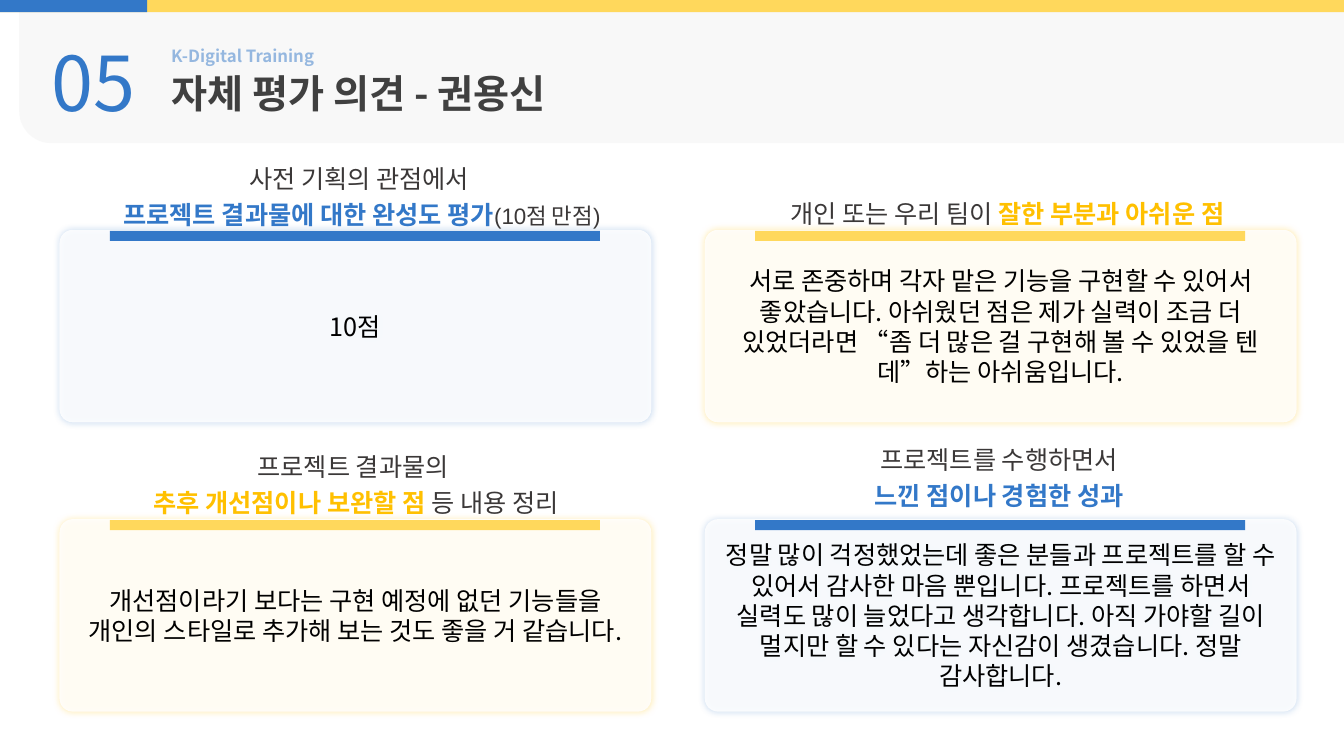
from dataclasses import dataclass

from lxml.etree import SubElement
from pptx import Presentation
from pptx.dml.color import RGBColor
from pptx.enum.shapes import MSO_SHAPE as Shape
from pptx.enum.text import MSO_ANCHOR as Anchor, MSO_AUTO_SIZE as AutoSize, PP_ALIGN as Align
from pptx.oxml.ns import qn
from pptx.util import Inches, Pt


@dataclass(frozen=True)
class Theme:
    blue: str = "3378C8"
    yellow: str = "FFD85C"
    amber: str = "FFC000"
    panel: str = "F2F2F2"
    white: str = "FFFFFF"
    black: str = "000000"
    title: str = "404040"
    heading: str = "3B3838"
    sans: str = "Noto Sans CJK KR"
    latin: str = "Arial"
    number_size: int = 54
    title_size: int = 28
    body_size: int = 18
    note_size: int = 16
    label_size: int = 12


@dataclass(frozen=True)
class Box:
    x: float
    y: float
    w: float
    h: float

    def inside(self, dx: float, dy: float, w: float, h: float) -> "Box":
        return Box(self.x + dx, self.y + dy, w, h)

    def emu(self) -> tuple:
        return tuple(Inches(v) for v in (self.x, self.y, self.w, self.h))


@dataclass(frozen=True)
class Run:
    text: str
    color: str
    bold: bool = False
    size: int = Theme.body_size


@dataclass(frozen=True)
class Card:
    col: int
    row: int
    accent: str
    glow: int  # shadow opacity, percent
    heading_at: tuple  # offset from the card, then size
    spacing: float
    heading: list  # paragraphs of runs
    body: str


T = Theme()
WIDTH, HEIGHT = 13.33, 7.5
STRIP = 0.12
GRID_X, GRID_Y, COL_STEP, ROW_STEP = 0.59, 2.28, 6.4, 2.87
CARD_W, CARD_H = 5.87, 1.91


def rgb(color: str) -> RGBColor:
    return RGBColor.from_string(color)


def set_alpha(fill_parent, percent: int) -> None:
    color = next(fill_parent.iter(qn("a:srgbClr")))
    SubElement(color, qn("a:alpha"), val=str(percent * 1000))


def add_block(s, kind, box: Box, color: str, alpha: int = 100):
    sp = s.shapes.add_shape(kind, *box.emu())
    sp.shadow.inherit = False
    sp.fill.solid()
    sp.fill.fore_color.rgb = rgb(color)
    sp.line.fill.background()
    if alpha < 100:
        set_alpha(sp.fill._xPr, alpha)
    return sp


def add_glow(sp, color: str, percent: int) -> None:
    effects = sp._element.spPr.find(qn("a:effectLst"))
    shadow = SubElement(effects, qn("a:outerShdw"), blurRad=str(Pt(5)), dist="0",
                        dir="0", algn="ctr", rotWithShape="0")
    clr = SubElement(shadow, qn("a:srgbClr"), val=color)
    SubElement(clr, qn("a:alpha"), val=str(percent * 1000))


def style(font, size: int, color: str, bold: bool, face: str) -> None:
    font.size, font.bold, font.name = Pt(size), bold, face
    font.color.rgb = rgb(color)
    SubElement(font._element, qn("a:ea"), typeface=T.sans)


def fill_paragraph(p, runs: list, face: str) -> None:
    if len(runs) == 1:
        run = runs[0]
        p.add_run().text = run.text
        style(p.font, run.size, run.color, run.bold, face)
        return
    for run in runs:
        if run.text == "\n":
            p.add_line_break()
            continue
        r = p.add_run()
        r.text = run.text
        style(r.font, run.size, run.color, run.bold, face)


def add_text(s, box: Box, paragraphs: list, face: str, align=Align.LEFT, spacing: float = 1.0):
    tf = s.shapes.add_textbox(*box.emu()).text_frame
    tf.word_wrap = True
    tf.auto_size = AutoSize.SHAPE_TO_FIT_TEXT
    for i, runs in enumerate(paragraphs):
        p = tf.add_paragraph() if i else tf.paragraphs[0]
        p.alignment, p.line_spacing = align, spacing
        fill_paragraph(p, runs, face)
    return tf


def add_header(s) -> None:
    panel = add_block(s, Shape.ROUND_1_RECTANGLE, Box(0.19, 0.08, WIDTH - 0.19, 1.34), T.panel, 50)
    panel.adjustments[0] = 0.238
    panel.rotation = 180
    label = add_text(s, Box(1.6, 0.4, 2.46, 0.3),
                     [[Run("K-Digital Training", T.blue, True, T.label_size)]], T.sans)
    set_alpha(label.paragraphs[0]._p, 50)
    add_text(s, Box(1.6, 0.64, 5.32, 0.57),
             [[Run("자체 평가 의견 - 권용신", T.title, True, T.title_size)]], T.sans)
    number = add_text(s, Box(0.41, 0.36, 1.39, 0.91),
                      [[Run("05", T.blue, False, T.number_size)]], T.sans)
    number.margin_top = number.margin_bottom = 0
    add_block(s, Shape.RECTANGLE, Box(0, 0, WIDTH, STRIP), T.yellow)
    add_block(s, Shape.RECTANGLE, Box(0, 0, 1.46, STRIP), T.blue)


def add_card(s, card: Card) -> None:
    box = Box(GRID_X + card.col * COL_STEP, GRID_Y + card.row * ROW_STEP, CARD_W, CARD_H)
    sp = add_block(s, Shape.ROUNDED_RECTANGLE, box, T.white, 85)
    sp.adjustments[0] = 0.069
    add_glow(sp, card.accent, card.glow)
    tf = sp.text_frame
    tf.word_wrap, tf.vertical_anchor = True, Anchor.MIDDLE
    p = tf.paragraphs[0]
    p.alignment = Align.CENTER
    fill_paragraph(p, [Run(card.body, T.black)], T.sans)
    add_block(s, Shape.RECTANGLE, box.inside(0.5, 0.01, 4.86, 0.1), card.accent)
    add_text(s, box.inside(*card.heading_at), card.heading, T.latin, Align.CENTER, card.spacing)


CARDS = [
    Card(0, 0, T.blue, 30, (0.24, -0.77, 5.52, 0.79), 1.2,
         [[Run("사전 기획의 관점에서 ", T.heading)],
          [Run("프로젝트 결과물에 대한 완성도 평가", T.blue, True),
           Run("(10점 만점)", T.heading, size=T.note_size)]],
         "10점"),
    Card(0, 1, T.yellow, 55, (0.41, -0.78, 5.06, 0.79), 1.2,
         [[Run("프로젝트 결과물의 ", T.heading)],
          [Run("추후 개선점이나 보완할 점 ", T.amber, True), Run("등 내용 정리", T.heading)]],
         "개선점이라기 보다는 구현 예정에 없던 기능들을 개인의 스타일로 추가해 보는 것도 좋을 거 같습니다."),
    Card(1, 1, T.blue, 30, (0.39, -0.85, 5.06, 0.83), 1.2,
         [[Run("프로젝트를 수행하면서", T.heading), Run("\n", T.heading),
           Run("느낀 점이나 경험한 성과", T.blue, True)]],
         "정말 많이 걱정했었는데 좋은 분들과 프로젝트를 할 수 있어서 감사한 마음 뿐입니다. "
         "프로젝트를 하면서 실력도 많이 늘었다고 생각합니다. 아직 가야할 길이 멀지만 "
         "할 수 있다는 자신감이 생겼습니다. 정말 감사합니다."),
    Card(1, 0, T.yellow, 55, (0.27, -0.39, 5.46, 0.41), 1.1,
         [[Run("개인 또는 우리 팀이 ", T.heading), Run("잘한 부분과 아쉬운 점", T.amber, True)]],
         "서로 존중하며 각자 맡은 기능을 구현할 수 있어서 좋았습니다. 아쉬웠던 점은 제가 실력이 "
         "조금 더 있었더라면 “좀 더 많은 걸 구현해 볼 수 있었을 텐데”하는 아쉬움입니다."),
]


def main() -> None:
    prs = Presentation()
    prs.slide_width, prs.slide_height = Inches(WIDTH), Inches(HEIGHT)
    s = prs.slides.add_slide(prs.slide_layouts[6])
    add_header(s)
    for card in CARDS:
        add_card(s, card)
    prs.save("out.pptx")


if __name__ == "__main__":
    main()
